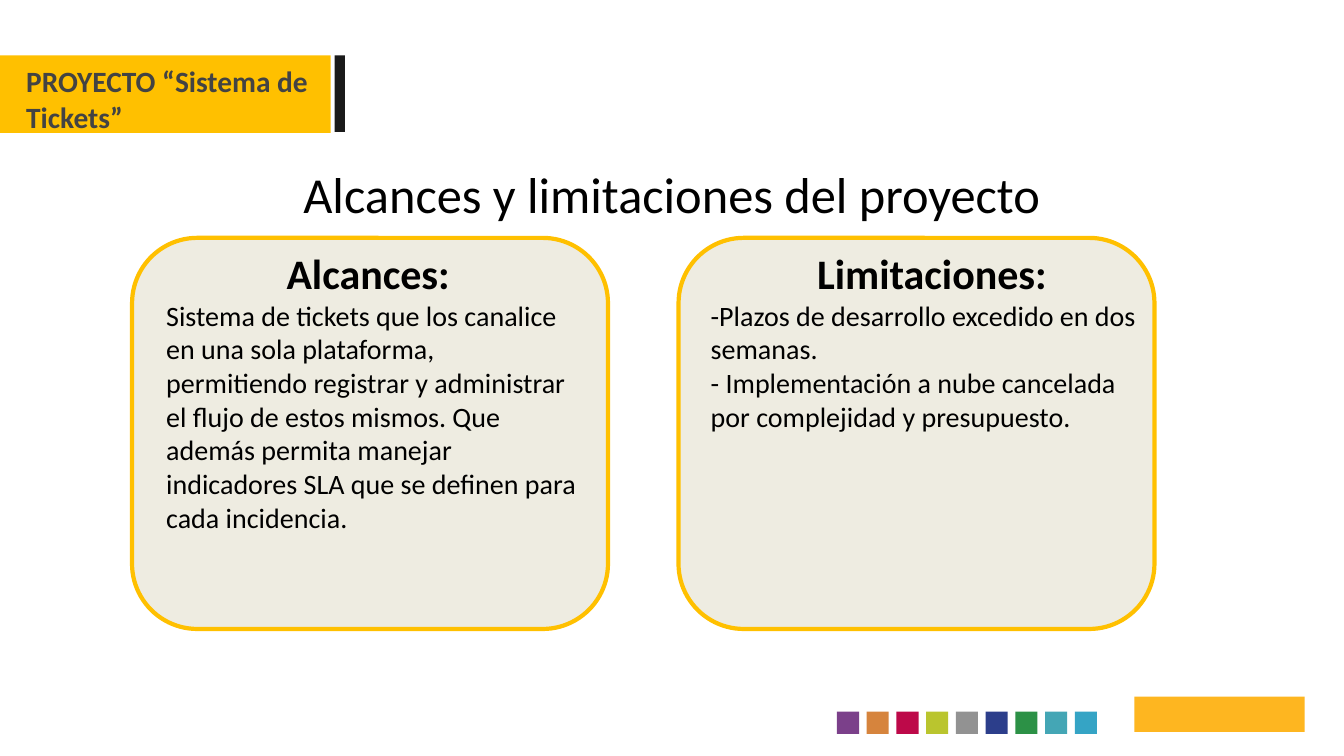
from dataclasses import dataclass
from typing import Any

import pptx
import pptx.dml.color
import pptx.enum.shapes
import pptx.enum.text
import pptx.util
from lxml import etree

Inches = pptx.util.Inches
Align = pptx.enum.text.PP_ALIGN
Shape = pptx.enum.shapes.MSO_SHAPE

GOLD = "FFC000"
CARD_TOP = 2.36


@dataclass
class Area:
    left: float
    top: float
    width: float
    height: float

    def lengths(self) -> tuple:
        return tuple(Inches(v) for v in (self.left, self.top, self.width, self.height))


@dataclass
class Card:
    left: float
    text_left: float
    text_width: float
    heading: str
    lines: list[str]


CARDS = [
    Card(1.31, 1.55, 4.3, "Alcances: ", [
        "Sistema de tickets que los canalice en una sola plataforma, permitiendo "
        "registrar y administrar el flujo de estos mismos. Que además permita manejar "
        "indicadores SLA que se definen para cada incidencia.",
    ]),
    Card(6.73, 6.95, 4.59, "Limitaciones:", [
        "-Plazos de desarrollo excedido en dos semanas.",
        "- Implementación a nube cancelada por complejidad y presupuesto.",
    ]),
]
SQUARE_COLORS = ["7B408A", "D6843D", "BD0949", "BAC52E", "929292",
                 "2C3E8B", "2C9146", "44A6B5", "35A4C5"]
SQUARES_LEFT, SQUARES_LAST = 8.3, 10.66


def color(value: str) -> pptx.dml.color.RGBColor:
    return pptx.dml.color.RGBColor.from_string(value)


def add_block(page: Any, kind: Any, area: Area, fill: str, line: str | None = None) -> Any:
    block = page.shapes.add_shape(kind, *area.lengths())
    block.shadow.inherit = False
    block.fill.solid()
    block.fill.fore_color.rgb = color(fill)
    if line:
        block.line.color.rgb = color(line)
        block.line.width = pptx.util.Pt(3)
    else:
        block.line.fill.background()
    return block


def set_frame(box: Any, area: Area, side: float, edge: float) -> None:
    box.left, box.top, box.width, box.height = area.lengths()
    frame = box.text_frame
    frame.word_wrap = True
    frame.auto_size = pptx.enum.text.MSO_AUTO_SIZE.NONE
    frame.vertical_anchor = pptx.enum.text.MSO_ANCHOR.TOP
    frame.margin_left = frame.margin_right = Inches(side)
    frame.margin_top = frame.margin_bottom = Inches(edge)


def write(para: Any, text: str, *, size: float, bold: bool = False,
          ink: str = "000000", align: Any = Align.LEFT) -> None:
    para.alignment = align
    para.space_before = pptx.util.Pt(0)
    span = para.add_run()
    span.text = text
    span.font.name = "Calibri"
    span.font.size = pptx.util.Pt(size)
    span.font.bold = bold
    span.font.color.rgb = color(ink)


def remove_bullet(para: Any) -> None:
    properties = para._p.get_or_add_pPr()
    properties.set("marL", "0")
    properties.set("indent", "0")
    etree.SubElement(properties, pptx.oxml.ns.qn("a:buNone"))


def add_card(page: Any, card: Card) -> None:
    add_block(page, Shape.ROUNDED_RECTANGLE, Area(card.left, CARD_TOP, 4.72, 3.88),
              "EEECE1", GOLD)
    area = Area(card.text_left, CARD_TOP, card.text_width, 3.75)
    box = page.shapes.add_textbox(*area.lengths())
    set_frame(box, area, 0.1, 0.1)
    write(box.text_frame.paragraphs[0], card.heading, size=30, bold=True, align=Align.CENTER)
    for line in card.lines:
        write(box.text_frame.add_paragraph(), line, size=20)


def main() -> None:
    deck = pptx.Presentation()
    deck.slide_width, deck.slide_height = Inches(13.33), Inches(7.5)
    page = deck.slides.add_slide(deck.slide_layouts[1])

    # Header band and bar
    add_block(page, Shape.RECTANGLE, Area(0, 0.55, 3.28, 0.77), GOLD)
    add_block(page, Shape.RECTANGLE, Area(3.32, 0.55, 0.1, 0.76), "1A1A1A")

    # Footer squares and emblem
    step = (SQUARES_LAST - SQUARES_LEFT) / (len(SQUARE_COLORS) - 1)
    for index, fill in enumerate(SQUARE_COLORS):
        add_block(page, Shape.RECTANGLE,
                  Area(SQUARES_LEFT + index * step, 7.06, 0.22, 0.22), fill)
    add_block(page, Shape.RECTANGLE, Area(11.25, 6.91, 1.69, 0.35), "FEB620")

    # Cards
    for card in CARDS:
        add_card(page, card)

    # Title
    title = page.shapes.title
    set_frame(title, Area(0, 1.57, 13.33, 0.71), 0.1, 0.05)
    write(title.text_frame.paragraphs[0], "Alcances y limitaciones del proyecto",
          size=36, align=Align.CENTER)

    # Project name, in front of the band
    project = page.placeholders[1]
    set_frame(project, Area(0.26, 0.63, 2.88, 0.71), 0, 0)
    para = project.text_frame.paragraphs[0]
    remove_bullet(para)
    write(para, "PROYECTO “Sistema de Tickets”", size=21, bold=True, ink="434343")
    project.element.getparent().append(project.element)

    deck.save("out.pptx")


if __name__ == "__main__":
    main()
